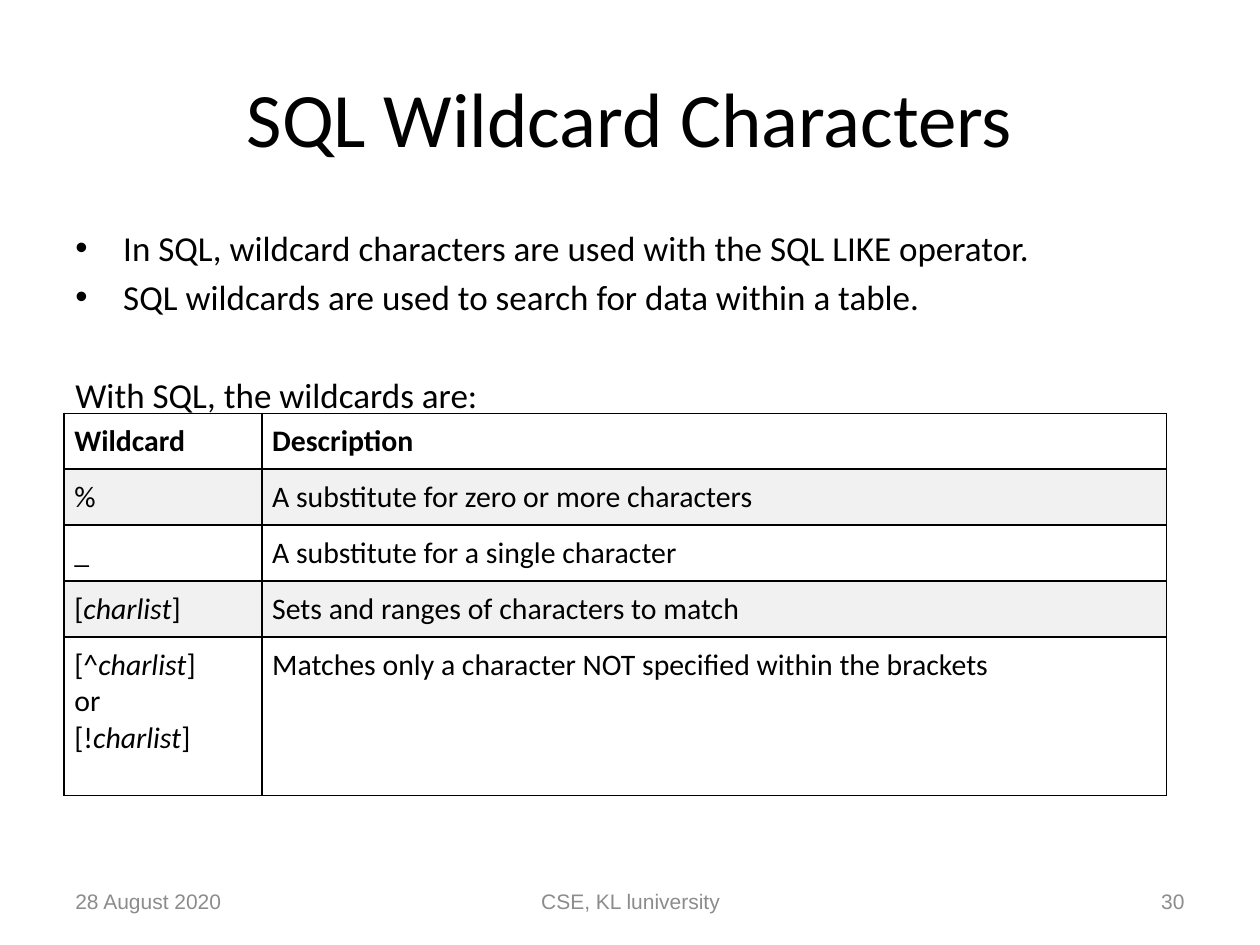
from lxml.etree import SubElement
from pptx import Presentation
from pptx.dml.color import RGBColor
from pptx.enum.text import MSO_ANCHOR as Anchor, PP_ALIGN as Align
from pptx.oxml.ns import qn
from pptx.util import Inches, Pt

W, H = 10, 7.5
MARGIN = 0.05 * W
COLORS = {"text": "000000", "footer": "8C8C8C", "plain": "FFFFFF", "band": "F1F1F1"}

TITLE = "SQL Wildcard Characters"
BULLETS = [
    "In SQL, wildcard characters are used with the SQL LIKE operator.",
    "SQL wildcards are used to search for data within a table.",
]
LEAD_IN = "With SQL, the wildcards are:"
# Asterisks switch italics on and off
ROWS = [
    ("Wildcard", "Description"),
    ("%", "A substitute for zero or more characters"),
    ("_", "A substitute for a single character"),
    ("[*charlist*]", "Sets and ranges of characters to match"),
    ("[^*charlist*]\nor\n[!*charlist*]",
     "Matches only a character NOT specified within the brackets"),
]
FOOTERS = [  # text, left, width, alignment
    ("28 August 2020", MARGIN, 2.33, Align.LEFT),
    ("CSE, KL luniversity", 3.42, 3.17, Align.CENTER),
    ("30", W - MARGIN - 2.33, 2.33, Align.RIGHT),
]
TABLE_LEFT, TABLE_TOP = 0.51, 3.28
COL_WIDTHS = [1.57, 7.18]
ROW_HEIGHTS = [0.44] * 4 + [1.26]
CELL_PAD = 0.08

FORMATS = {
    "title": {"size": Pt(44), "name": "Calibri"},
    "body": {"size": Pt(20), "name": "Calibri"},
    "header": {"size": Pt(17), "name": "Calibri", "bold": True},
    "cell": {"size": Pt(17), "name": "Calibri", "bold": False},
    "footer": {"size": Pt(12), "name": "Arial"},
}


def add_run(p, text, kind, color="text", italic=False):
    r = p.add_run()
    r.text = text
    for key, value in FORMATS[kind].items():
        setattr(r.font, key, value)
    r.font.italic = italic
    r.font.color.rgb = RGBColor.from_string(COLORS[color])


def add_box(s, left, top, width, height, anchor):
    tf = s.shapes.add_textbox(*map(Inches, (left, top, width, height))).text_frame
    tf.word_wrap = True
    tf.vertical_anchor = anchor
    return tf


def set_bullet(p, indent):
    pPr = p._p.get_or_add_pPr()
    pPr.set("marL", str(Inches(indent)))
    pPr.set("indent", str(-Inches(indent)))
    SubElement(pPr, qn("a:buFont"), typeface="Arial")
    SubElement(pPr, qn("a:buChar"), char="•")


def set_borders(cell):
    tcPr = cell._tc.get_or_add_tcPr()
    for i, side in enumerate(("lnL", "lnR", "lnT", "lnB")):
        ln = tcPr.makeelement(qn(f"a:{side}"), {"w": str(Pt(1))})
        fill = SubElement(ln, qn("a:solidFill"))
        SubElement(fill, qn("a:srgbClr"), val=COLORS["text"])
        tcPr.insert(i, ln)


def fill_cell(cell, text, kind, fill):
    for side in ("left", "right", "top", "bottom"):
        setattr(cell, f"margin_{side}", Inches(CELL_PAD))
    cell.fill.solid()
    cell.fill.fore_color.rgb = RGBColor.from_string(COLORS[fill])
    set_borders(cell)
    p = cell.text_frame.paragraphs[0]
    for n, line in enumerate(text.split("\n")):
        if n:
            p.add_line_break()
        for i, part in enumerate(line.split("*")):
            add_run(p, part, kind, italic=i % 2 == 1)


def main():
    prs = Presentation()
    prs.slide_width, prs.slide_height = Inches(W), Inches(H)
    s = prs.slides.add_slide(prs.slide_layouts[6])

    p = add_box(s, MARGIN, 0.3, W - 2 * MARGIN, 1.25, Anchor.MIDDLE).paragraphs[0]
    p.alignment = Align.CENTER
    add_run(p, TITLE, "title")

    tf = add_box(s, MARGIN, 1.75, W - 2 * MARGIN, 4.95, Anchor.TOP)
    for i, text in enumerate(BULLETS):
        p = tf.add_paragraph() if i else tf.paragraphs[0]
        if i:
            p.space_before = Pt(4)
        set_bullet(p, 0.38)
        add_run(p, text, "body")
    p = tf.add_paragraph()
    p.space_before = Pt(32)
    add_run(p, LEAD_IN, "body")

    for text, left, width, align in FOOTERS:
        p = add_box(s, left, 6.95, width, 0.4, Anchor.MIDDLE).paragraphs[0]
        p.alignment = align
        add_run(p, text, "footer", "footer")

    size = (TABLE_LEFT, TABLE_TOP, sum(COL_WIDTHS), sum(ROW_HEIGHTS))
    table = s.shapes.add_table(len(ROWS), len(COL_WIDTHS), *map(Inches, size)).table
    for col, width in zip(table.columns, COL_WIDTHS):
        col.width = Inches(width)
    for i, (row, height, texts) in enumerate(zip(table.rows, ROW_HEIGHTS, ROWS)):
        row.height = Inches(height)
        for cell, text in zip(row.cells, texts):
            fill_cell(cell, text, "cell" if i else "header", "band" if i % 2 else "plain")

    prs.save("out.pptx")


if __name__ == "__main__":
    main()
